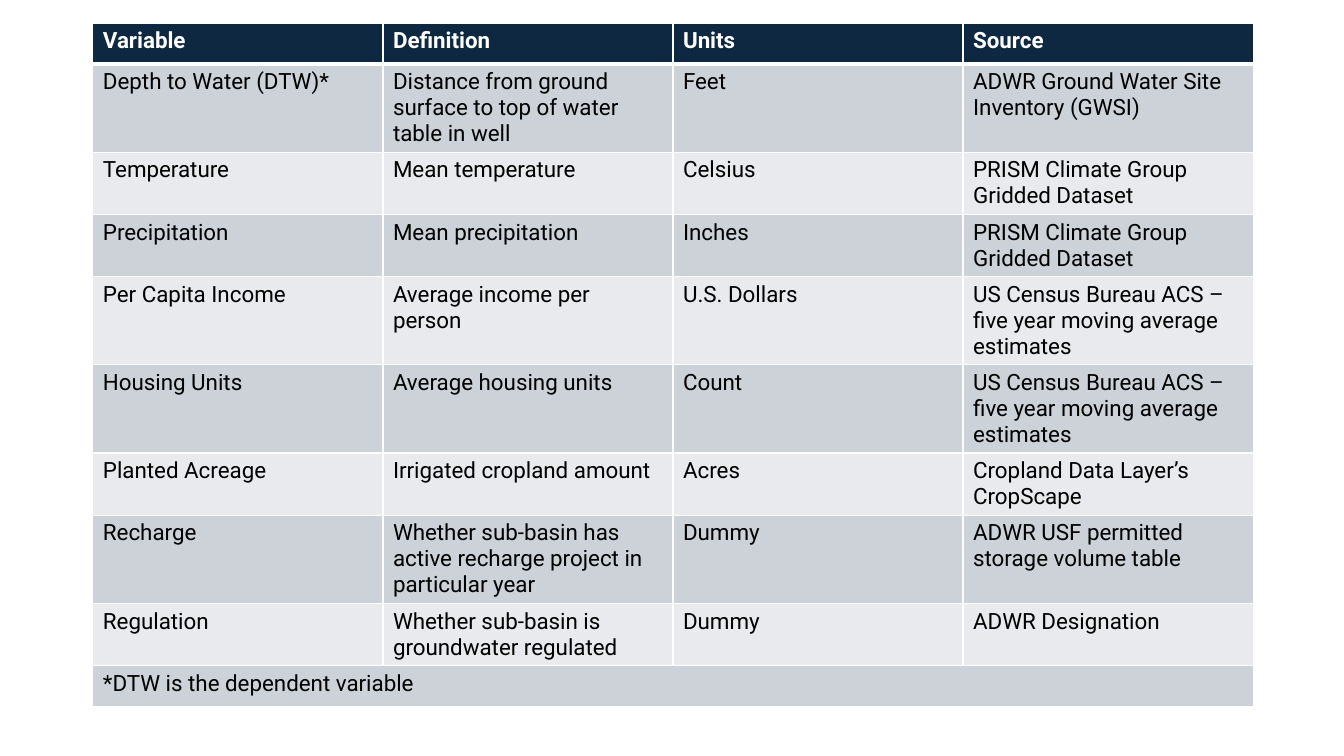
from lxml.etree import SubElement
from pptx import Presentation
from pptx.dml.color import RGBColor
from pptx.oxml.ns import qn
from pptx.util import Cm, Pt

# Content
HEADER = ("Variable", "Definition", "Units", "Source")
PRISM = "PRISM Climate Group Gridded Dataset"
CENSUS = "US Census Bureau ACS – five year moving average estimates"
VARIABLES = [  # lines of text in the row, then its cells
    (3, ("Depth to Water (DTW)*",
         "Distance from ground surface to top of water table in well",
         "Feet", "ADWR Ground Water Site Inventory (GWSI)")),
    (2, ("Temperature", "Mean temperature", "Celsius", PRISM)),
    (2, ("Precipitation", "Mean precipitation", "Inches", PRISM)),
    (3, ("Per Capita Income", "Average income per person",
         "U.S. Dollars", CENSUS)),
    (3, ("Housing Units", "Average housing units", "Count", CENSUS)),
    (2, ("Planted Acreage", "Irrigated cropland amount", "Acres",
         "Cropland Data Layer’s CropScape")),
    (3, ("Recharge",
         "Whether sub-basin has active recharge project in particular year",
         "Dummy", "ADWR USF permitted storage volume table")),
    (2, ("Regulation", "Whether sub-basin is groundwater regulated",
         "Dummy", "ADWR Designation")),
]
FOOTNOTE = "*DTW is the dependent variable"

# Style
NAVY = RGBColor(0x0E, 0x28, 0x41)
DARK_BAND = RGBColor(0xCC, 0xD2, 0xD8)
LIGHT_BAND = RGBColor(0xE8, 0xEA, 0xED)
WHITE = RGBColor(0xFF, 0xFF, 0xFF)
BLACK = RGBColor(0, 0, 0)
LEFT, TOP, COL_WIDTH = 2.34, 0.58, 7.31
MIN_HEIGHT, LINE_HEIGHT, PADDING = 1.03, 0.65, 0.25


def set_borders(cell, top, bottom):
    tc_pr = cell._tc.get_or_add_tcPr()
    for side, width in (("L", 1), ("R", 1), ("T", top), ("B", bottom)):
        ln = SubElement(tc_pr, qn(f"a:ln{side}"), w=str(Pt(width)))
        fill = SubElement(ln, qn("a:solidFill"))
        SubElement(fill, qn("a:srgbClr"), val=str(WHITE))


def style_cell(cell, row):
    is_header = row == 0
    set_borders(cell, top=3 if row == 1 else 1, bottom=3 if is_header else 1)
    cell.fill.solid()
    band = DARK_BAND if row % 2 else LIGHT_BAND
    cell.fill.fore_color.rgb = NAVY if is_header else band
    font = cell.text_frame.paragraphs[0].font
    font.name = "Roboto"
    font.size = Pt(16)
    font.bold = is_header
    font.color.rgb = WHITE if is_header else BLACK


prs = Presentation()
prs.slide_width, prs.slide_height = Cm(33.87), Cm(19.05)
s = prs.slides.add_slide(prs.slide_layouts[6])

# Table with rows as tall as their text
rows = [(1, HEADER), *VARIABLES, (1, (FOOTNOTE, "", "", ""))]
heights = [max(MIN_HEIGHT, n * LINE_HEIGHT + PADDING) for n, _ in rows]
table = s.shapes.add_table(len(rows), len(HEADER), Cm(LEFT), Cm(TOP),
                           Cm(COL_WIDTH * len(HEADER)), Cm(sum(heights))).table
for column in table.columns:
    column.width = Cm(COL_WIDTH)
for i, (_, texts) in enumerate(rows):
    table.rows[i].height = Cm(heights[i])
    for j, text in enumerate(texts):
        cell = table.cell(i, j)
        cell.text = text
        style_cell(cell, i)

# Footnote across the full width
last = len(rows) - 1
table.cell(last, 0).merge(table.cell(last, len(HEADER) - 1))

prs.save("out.pptx")
